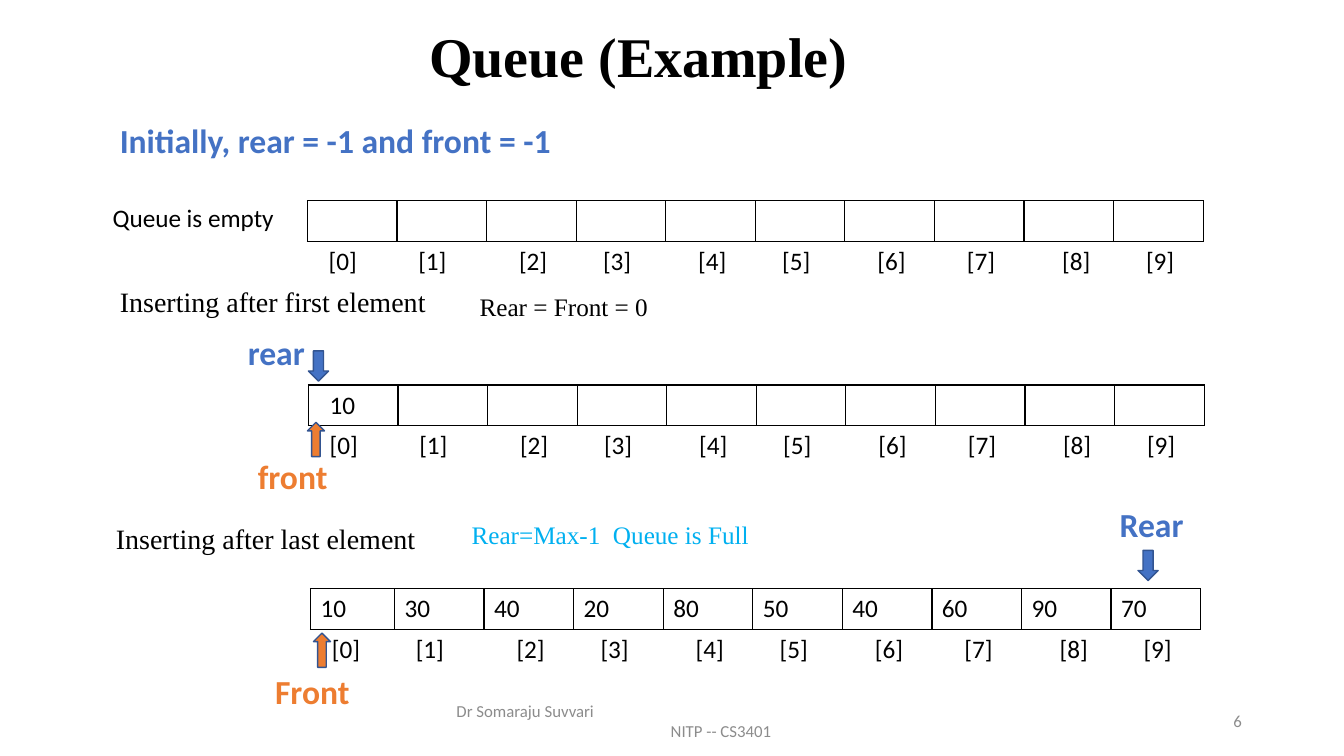
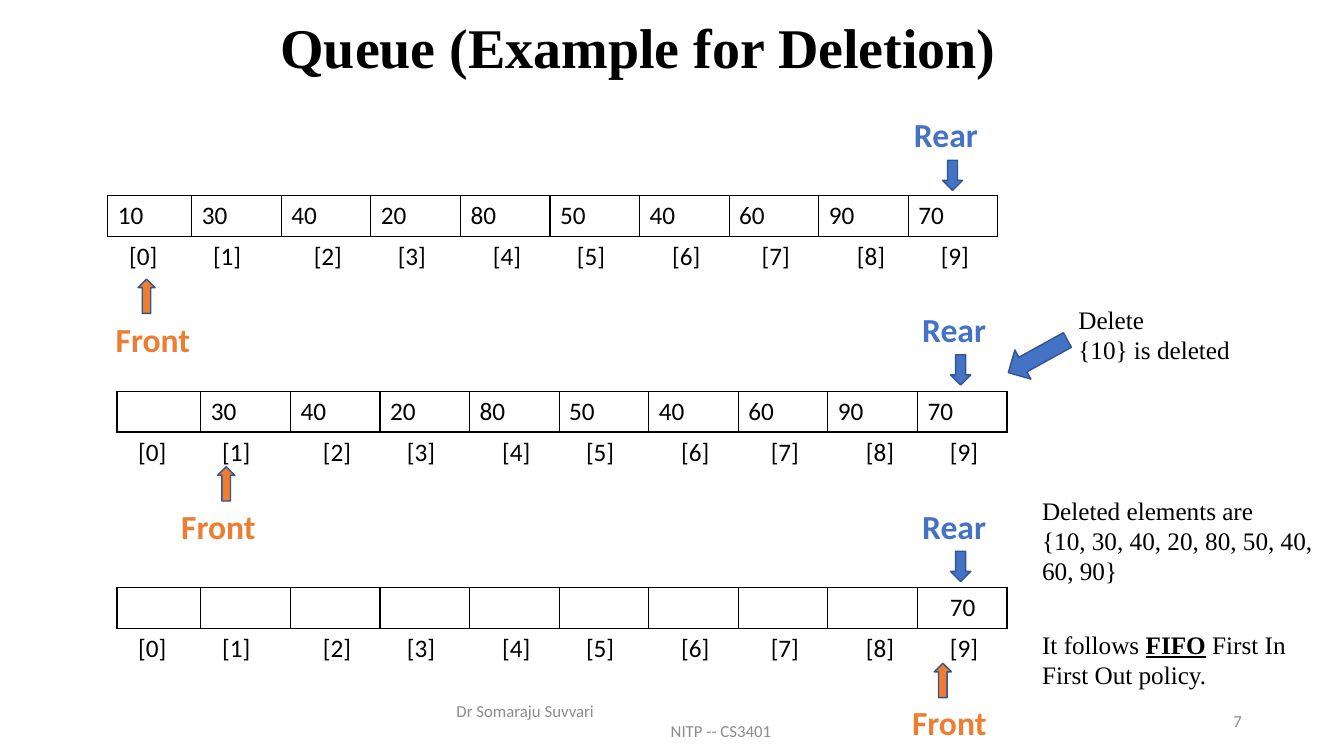
from lxml import etree
from pptx import Presentation
from pptx.dml.color import RGBColor
from pptx.enum import shapes, text
from pptx.oxml import ns
from pptx.util import Pt

BLACK = RGBColor(0, 0, 0)
BLUE = RGBColor(0x44, 0x72, 0xC4)
ORANGE = RGBColor(0xED, 0x7D, 0x31)
EDGE = RGBColor(0x32, 0x54, 0x91)
CYAN = RGBColor(0, 0xB0, 0xF0)
GRAY = RGBColor(0x8C, 0x8C, 0x8C)
SANS, SERIF = "Calibri", "Times New Roman"

FULL = [10, 30, 40, 20, 80, 50, 40, 60, 90, 70]
NONE = [""] * 10
SHIFTS = [8, 8, 16, 12, 16, 12, 16, 16, 20, 16]
COL, ROW, INSET = 64, 29.2, 7.2
FOOT = ["Dr Somaraju Suvvari", "NITP -- CS3401"]

SLIDES = [
    {
        "title": ("Queue (Example)", 49), "page": 6,
        "queues": [
            (219.6, 143.3, COL, NONE, 0),
            (220.3, 275, COL, [10] + NONE[1:], 8),
            (221.8, 420.5, 60, FULL, 0),
        ],
        "rears": [
            ("rear", 169.9, 233.3, 220.3, 250.6),
            ("Rear", 792.7, 356.4, 812.9, 393.1),
        ],
        "fronts": [
            ("front", 177.1, 321.8, 219.6, 301.7),
            ("Front", 189.4, 475.9, 223.9, 452.2),
        ],
        "notes": [
            (["Initially, rear = -1 and front = -1"], 78.5, 82, 401, 36, 24, SANS, BLUE, True),
            (["Queue is empty"], 73.4, 141, 165.6, 29, 18, SANS, BLACK, False),
            (["Inserting after first element"], 78.5, 199.4, 251, 31.5, 20, SERIF, BLACK, False),
            (["Rear = Front = 0"], 335.5, 204.5, 171, 29, 18, SERIF, BLACK, False),
            (["Inserting after last element"], 75.6, 368.6, 251, 31.5, 20, SERIF, BLACK, False),
            (["Rear=Max-1  Queue is Full"], 329.8, 367.2, 291, 29, 18, SERIF, CYAN, False),
        ],
        "turned": [],
    },
    {
        "title": ("Queue (Example for Deletion)", 36), "page": 7,
        "queues": [
            (77, 139.7, 60, FULL, 0),
            (83.5, 279.4, 60, [""] + FULL[1:], 0),
            (83.5, 419.8, 60, NONE[1:] + [70], 16),
        ],
        "rears": [
            ("Rear", 645.8, 77.8, 673.2, 114.5),
            ("Rear", 651.6, 217.4, 679, 253.4),
            ("Rear", 651.6, 357.8, 679, 393.8),
        ],
        "fronts": [
            ("Front", 75.6, 223.9, 98.6, 199.4),
            ("Front", 122.4, 357.8, 155.5, 333.4),
            ("Front", 644.4, 497.5, 667.4, 473.8),
        ],
        "notes": [
            (["Delete", "{10} is deleted"], 763.2, 213.8, 175, 51, 18, SERIF, BLACK, False),
            (["Deleted elements are", "{10, 30, 40, 20, 80, 50, 40, 60, 90}"],
             737.3, 350, 211.7, 72.7, 18, SERIF, BLACK, False),
            (["It follows *FIFO* First In First Out policy."],
             737.3, 445.7, 201, 51, 18, SERIF, BLACK, False),
        ],
        "turned": [(729.4, 230.4, 23.8, 48.2, 61.1)],
    },
]


def style(para, size, face, color, bold=False):
    font = para.font
    font.size, font.name, font.bold = Pt(size), face, bold
    font.color.rgb = color


def write(slide, lines, x, y, w, h, size, face, color, bold=False, grow=True):
    box = slide.shapes.add_textbox(Pt(x), Pt(y), Pt(w), Pt(h))
    frame = box.text_frame
    frame.word_wrap = True
    if grow:
        frame.auto_size = text.MSO_AUTO_SIZE.SHAPE_TO_FIT_TEXT
    else:
        frame.vertical_anchor = text.MSO_ANCHOR.MIDDLE
    for i, line in enumerate(lines):
        para = frame.add_paragraph() if i else frame.paragraphs[0]
        for j, part in enumerate(line.split("*")):
            run = para.add_run()
            run.text = part
            if j % 2:
                run.font.bold = run.font.underline = True
        style(para, size, face, color, bold)
    return frame.paragraphs


def arrow(slide, kind, x, y, w, h, color, turn=0):
    mark = slide.shapes.add_shape(kind, Pt(x), Pt(y), Pt(w), Pt(h))
    mark.shadow.inherit = False
    mark.fill.solid()
    mark.fill.fore_color.rgb = color
    mark.line.color.rgb = EDGE
    mark.line.width = Pt(1)
    mark.rotation = turn


def border(cell, sides):
    props = cell._tc.get_or_add_tcPr()
    for side in "LRTB":
        line = etree.SubElement(props, ns.qn("a:ln" + side), w=str(Pt(1)))
        if side in sides:
            fill = etree.SubElement(line, ns.qn("a:solidFill"))
            etree.SubElement(fill, ns.qn("a:srgbClr"), val=str(BLACK))
        else:
            etree.SubElement(line, ns.qn("a:noFill"))


def queue(slide, x, y, first, items, shift):
    widths = [first] + [COL] * (len(items) - 1)
    grid = slide.shapes.add_table(
        2, len(items), Pt(x), Pt(y), Pt(sum(widths)), Pt(2 * ROW)).table
    grid.first_row = grid.horz_banding = False
    for row in grid.rows:
        row.height = Pt(ROW)
    for i, (item, width) in enumerate(zip(items, widths)):
        grid.columns[i].width = Pt(width)
        for r, label, pad, sides in (
                (0, str(item), shift, "LRTB"), (1, f"[{i}]", SHIFTS[i], "T")):
            cell = grid.cell(r, i)
            cell.text = label
            cell.margin_left = Pt(INSET + pad)
            style(cell.text_frame.paragraphs[0], 18, SANS, BLACK)
            border(cell, sides)
            cell.fill.background()


def frame(slide, title, height, page):
    head = write(slide, [title], 51.1, 18, 809.3, height, 40, SERIF, BLACK, True, False)[0]
    head.alignment = text.PP_ALIGN.CENTER
    head.line_spacing = 0.9
    foot = write(slide, FOOT, 319, 500.4, 324, 28.8, 12, SANS, GRAY, grow=False)
    foot[1]._p.get_or_add_pPr().set("marL", str(Pt(153)))
    num = write(slide, [str(page)], 678.2, 500.4, 216, 28.8, 12, SANS, GRAY, grow=False)[0]
    num.alignment = text.PP_ALIGN.RIGHT


def main():
    deck = Presentation()
    deck.slide_width, deck.slide_height = Pt(960), Pt(540)
    kinds = shapes.MSO_SHAPE
    marks = (("rears", kinds.DOWN_ARROW, 14.4, 21.6, BLUE),
             ("fronts", kinds.UP_ARROW, 12.2, 24.5, ORANGE))
    for data in SLIDES:
        slide = deck.slides.add_slide(deck.slide_layouts[6])
        frame(slide, *data["title"], data["page"])
        for item in data["queues"]:
            queue(slide, *item)
        for note in data["notes"]:
            write(slide, *note)
        for key, kind, w, h, color in marks:
            for label, x, y, left, top in data[key]:
                write(slide, [label], x, y, 72, 36, 24, SANS, color, True)
                arrow(slide, kind, left, top, w, h, color)
        for x, y, w, h, turn in data["turned"]:
            arrow(slide, kinds.DOWN_ARROW, x, y, w, h, BLUE, turn)
    deck.save("out.pptx")


if __name__ == "__main__":
    main()
